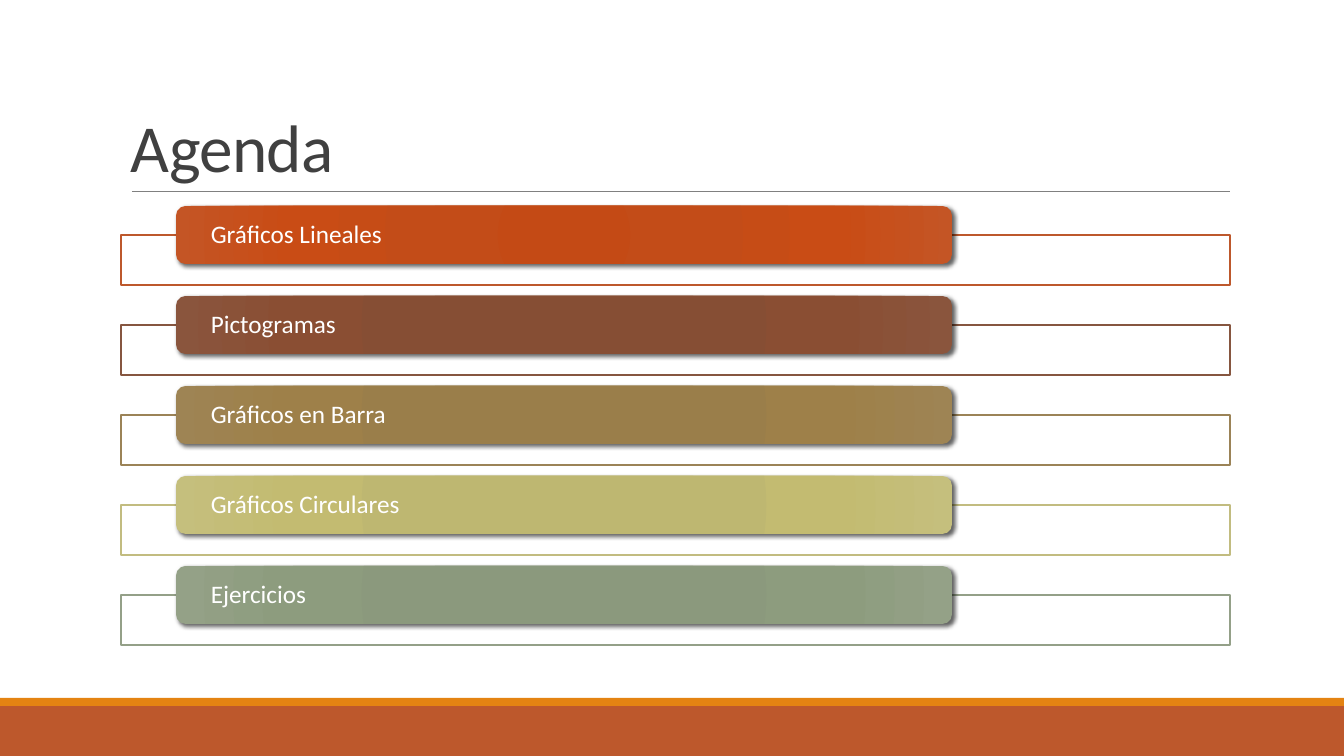
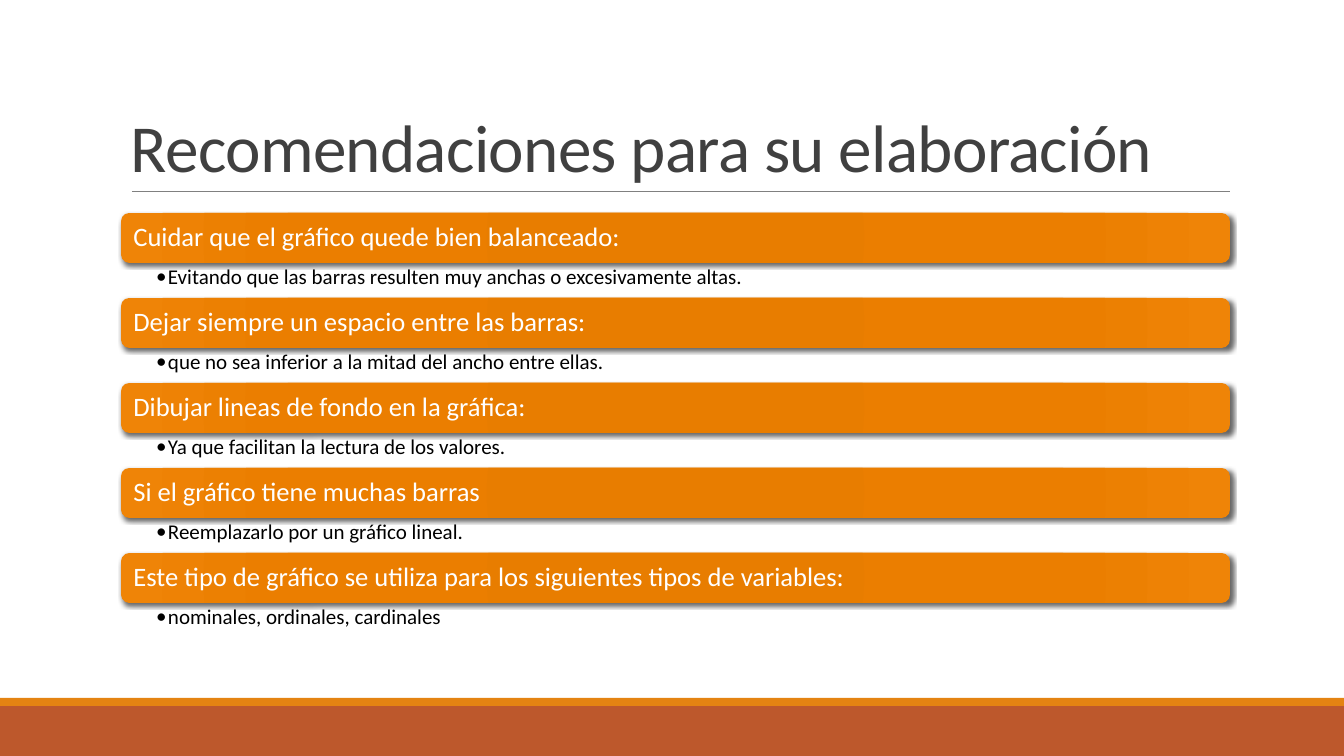
from dataclasses import dataclass

from lxml.etree import SubElement
from pptx import Presentation
from pptx.dml.color import RGBColor
from pptx.enum.shapes import MSO_CONNECTOR, MSO_SHAPE
from pptx.enum.text import MSO_ANCHOR, MSO_AUTO_SIZE, PP_ALIGN
from pptx.oxml import parse_xml
from pptx.oxml.ns import nsdecls, qn
from pptx.util import Emu, Pt

SLIDE_WIDTH, SLIDE_HEIGHT = 1344, 756
EMU_PER_PX = 12192000 / SLIDE_WIDTH
TITLE_ONLY = 5


@dataclass(frozen=True)
class Theme:
    font: str = "Calibri"
    title: str = "404040"
    rule: str = "808080"
    footer: str = "BD582C"
    footer_edge: str = "E48312"
    light: str = "FFFFFF"
    dark: str = "000000"
    tip_gradient: tuple = ("E57B00", "E87D00", "EB7E00", "EF8407")
    gradient_stops: tuple = (0, 34, 70, 100)
    title_size: int = 48
    topic_size: int = 18
    tip_size: int = 19
    detail_size: int = 15


def px(length):
    return Emu(round(length * EMU_PER_PX))


def box(left, top, width, height):
    return px(left), px(top), px(width), px(height)


def rgb(color):
    return RGBColor.from_string(color)


def write_text(frame, text, *, font, size, color, anchor=MSO_ANCHOR.MIDDLE,
               insets=(10, 5, 10, 5), line_spacing=0.9, tracking=None,
               bullet=None, indent=0):
    """Fill a text frame with one left-aligned paragraph."""
    frame.word_wrap = True
    frame.auto_size = MSO_AUTO_SIZE.NONE
    frame.vertical_anchor = anchor
    (frame.margin_left, frame.margin_top,
     frame.margin_right, frame.margin_bottom) = map(px, insets)
    paragraph = frame.paragraphs[0]
    paragraph.alignment = PP_ALIGN.LEFT
    paragraph.line_spacing = line_spacing
    if bullet:
        paragraph.level = 1
        properties = paragraph._p.get_or_add_pPr()
        properties.set("marL", str(px(indent)))
        properties.set("indent", str(-px(indent)))
        SubElement(properties, qn("a:buFont")).set("typeface", font)
        SubElement(properties, qn("a:buChar")).set("char", bullet)
    run = paragraph.add_run()
    run.text = text
    run.font.name = font
    run.font.size = Pt(size)
    run.font.color.rgb = rgb(color)
    if tracking is not None:
        run._r.get_or_add_rPr().set("spc", str(round(tracking * 100)))


class Deck:
    def __init__(self, theme):
        self.theme = theme
        self.presentation = Presentation()
        self.presentation.slide_width = px(SLIDE_WIDTH)
        self.presentation.slide_height = px(SLIDE_HEIGHT)
        self.slide = None

    def start_slide(self, title):
        """Add a slide with the shared footer bands, title and rule."""
        theme = self.theme
        layout = self.presentation.slide_layouts[TITLE_ONLY]
        self.slide = self.presentation.slides.add_slide(layout)
        self.rectangle(0, 706, SLIDE_WIDTH, 50, fill=theme.footer)
        self.rectangle(0, 698, SLIDE_WIDTH, 8, fill=theme.footer_edge)
        self.rule(132, 191, 1230)
        heading = self.slide.shapes.title
        heading.left, heading.top, heading.width, heading.height = box(121, 31, 1109, 160)
        write_text(heading.text_frame, title, font=theme.font, size=theme.title_size,
                   color=theme.title, anchor=MSO_ANCHOR.BOTTOM,
                   line_spacing=0.85, tracking=-0.5)

    def rectangle(self, left, top, width, height, *, fill, outline=None):
        shape = self.slide.shapes.add_shape(
            MSO_SHAPE.RECTANGLE, *box(left, top, width, height))
        shape.shadow.inherit = False
        shape.fill.solid()
        shape.fill.fore_color.rgb = rgb(fill)
        if outline:
            shape.line.color.rgb = rgb(outline)
            shape.line.width = Pt(1)
        else:
            shape.line.fill.background()

    def rule(self, left, top, right):
        line = self.slide.shapes.add_connector(
            MSO_CONNECTOR.STRAIGHT, px(left), px(top), px(right), px(top))
        line.line.color.rgb = rgb(self.theme.rule)
        line.line.width = Pt(0.5)
        SubElement(line.element.spPr, qn("a:effectLst"))

    def pill(self, left, top, width, height, text, *, gradient, size, inset):
        """Draw a rounded bar with a radial gradient, soft shadow and label."""
        shape = self.slide.shapes.add_shape(
            MSO_SHAPE.ROUNDED_RECTANGLE, *box(left, top, width, height))
        shape.fill.background()
        shape.line.fill.background()
        shape.shadow.inherit = False
        stops = "".join(
            f'<a:gs pos="{position * 1000}"><a:srgbClr val="{color}"/></a:gs>'
            for position, color in zip(self.theme.gradient_stops, gradient))
        properties = shape.element.spPr
        properties.replace(properties.find(qn("a:noFill")), parse_xml(
            f'<a:gradFill {nsdecls("a")} rotWithShape="1"><a:gsLst>{stops}</a:gsLst>'
            '<a:path path="circle"><a:fillToRect l="100000" t="100000" '
            'r="100000" b="100000"/></a:path></a:gradFill>'))
        properties.find(qn("a:effectLst")).append(parse_xml(
            f'<a:outerShdw {nsdecls("a")} blurRad="{Pt(3)}" dist="{Pt(2)}" '
            f'dir="2700000" rotWithShape="0"><a:srgbClr val="{self.theme.dark}">'
            '<a:alpha val="60000"/></a:srgbClr></a:outerShdw>'))
        write_text(shape.text_frame, text, font=self.theme.font, size=size,
                   color=self.theme.light, insets=(inset, 0, inset, 0))

    def detail(self, left, top, width, height, text):
        note = self.slide.shapes.add_textbox(*box(left, top, width, height))
        write_text(note.text_frame, text, font=self.theme.font,
                   size=self.theme.detail_size, color=self.theme.dark,
                   anchor=MSO_ANCHOR.TOP, insets=(35, 3, 15, 3),
                   bullet="•", indent=12)


AGENDA = [
    ("Gráficos Lineales", "BD582C", ("C44A15", "C34C18", "C94C15", "C45525")),
    ("Pictogramas", "865640", ("874C32", "864E34", "8A4E33", "8A553D")),
    ("Gráficos en Barra", "9B8357", ("9A7D48", "9A7E4A", "9E8049", "9E8454")),
    ("Gráficos Circulares", "C2BC80", ("BEB76E", "BEB771", "C3BB71", "C5BF7D")),
    ("Ejercicios", "94A088", ("8A987B", "8B997D", "8D9C7E", "94A187")),
]

RECOMMENDATIONS = [
    ("Cuidar que el gráfico quede bien balanceado:",
     "Evitando que las barras resulten muy anchas o excesivamente altas."),
    ("Dejar siempre un espacio entre las barras:",
     "que no sea inferior a la mitad del ancho entre ellas."),
    ("Dibujar lineas de fondo en la gráfica:",
     "Ya que facilitan la lectura de los valores."),
    ("Si el gráfico tiene muchas barras",
     "Reemplazarlo por un gráfico lineal."),
    ("Este tipo de gráfico se utiliza para los siguientes tipos de variables:",
     "nominales, ordinales, cardinales"),
]


def build_agenda(deck):
    deck.start_slide("Agenda")
    for row, (topic, outline, gradient) in enumerate(AGENDA):
        top = 206 + 90 * row
        deck.rectangle(121, top + 29, 1109, 50, fill=deck.theme.light, outline=outline)
        deck.pill(176, top, 776, 58, topic, gradient=gradient,
                  size=deck.theme.topic_size, inset=32)


def build_recommendations(deck):
    deck.start_slide("Recomendaciones para su elaboración")
    bar_height, detail_height = 50, 35
    for row, (tip, reason) in enumerate(RECOMMENDATIONS):
        top = 213 + (bar_height + detail_height) * row
        deck.pill(121, top, 1109, bar_height, tip, gradient=deck.theme.tip_gradient,
                  size=deck.theme.tip_size, inset=10)
        deck.detail(121, top + bar_height, 1109, detail_height, reason)


def main():
    deck = Deck(Theme())
    build_agenda(deck)
    build_recommendations(deck)
    deck.presentation.save("out.pptx")


if __name__ == "__main__":
    main()
